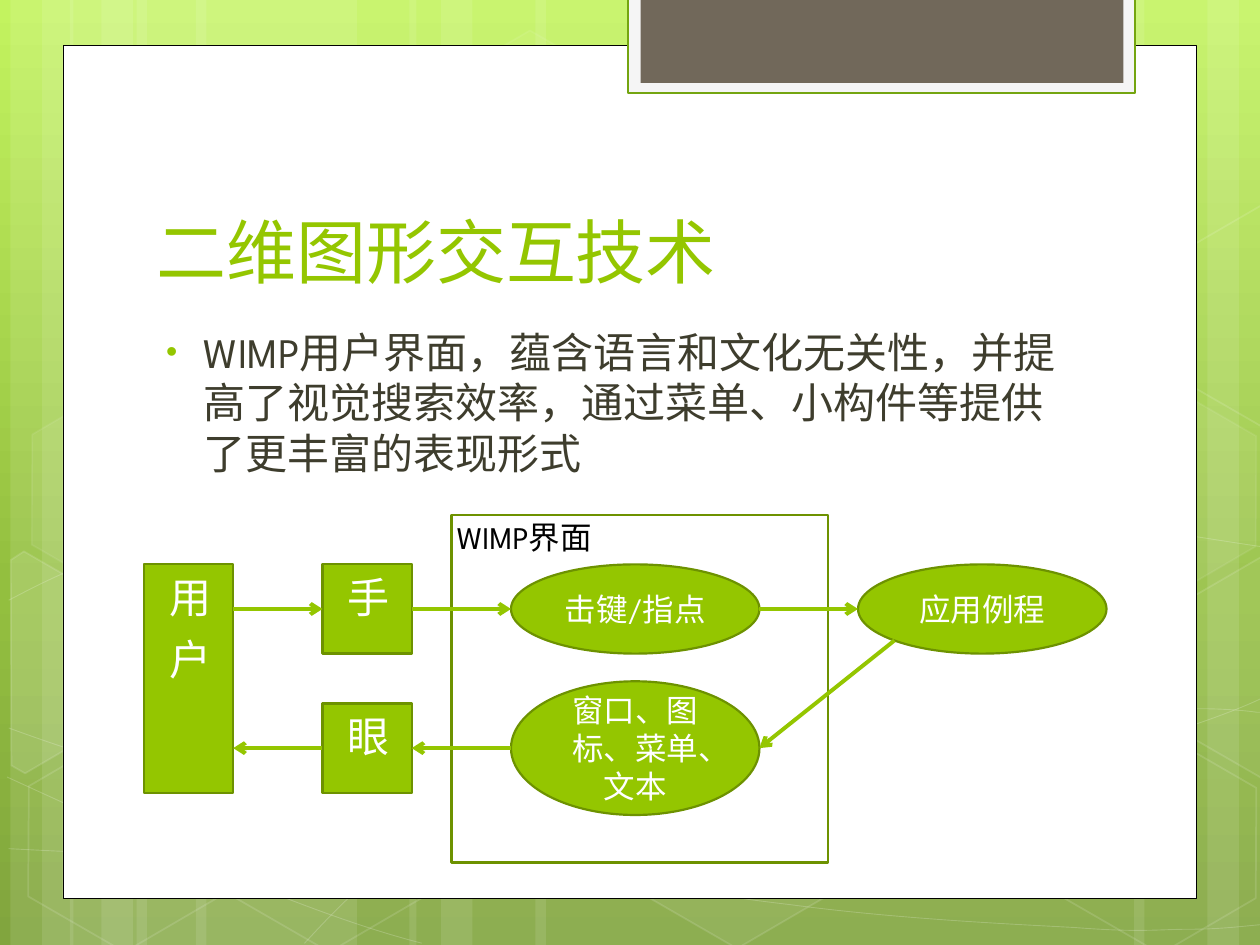
from collections import namedtuple
from dataclasses import dataclass
from math import cos, pi

from lxml.etree import SubElement
from pptx import Presentation
from pptx.dml.color import RGBColor
from pptx.enum.shapes import MSO_CONNECTOR, MSO_SHAPE
from pptx.enum.text import MSO_ANCHOR, PP_ALIGN
from pptx.oxml.ns import qn
from pptx.util import Pt

Box = namedtuple("Box", "left top width height")


@dataclass(frozen=True)
class Theme:
    """Colours, font and sizes of the slide."""
    font: str = "League Spartan"
    green: str = "94C600"
    edge: str = "6D9200"
    tab_edge: str = "74A510"
    tab_outer: str = "F5F5F5"
    tab_inner: str = "71685A"
    body: str = "3E3D2D"
    white: str = "FFFFFF"
    black: str = "000000"
    sky: tuple = ((0, "C3F35F"), (62, "93BF3F"), (100, "81A53E"))
    title_size: int = 40
    body_size: int = 24
    label_size: int = 18


THEME = Theme()
BANDS = [(78, 126), (6, 36), (24, 60), (112, 126), (40, 36), (58, 60), (528, 126),
         (690, 36), (648, 60), (306, 222), (234, 36), (252, 60)]
HEXAGONS = [(240, 26, 4, 8), (358, 424, 6, 12), (8, 426, 0, 12), (10, 225, 7, 8),
            (125, 426, 0, 12), (542, 326, 10, 12), (600, 427, 0, 12), (600, 226, 7, 8)]
LEFT_CUT = [(0, 8), (4, 0), (68, 0), (99, 55), (68, 109.5), (59, 109.5)]
RIGHT_CUT = [(0, 54), (31, 0), (37, 0), (97.5, 104), (94, 109.5), (32, 109.5)]
CUT_HEXAGONS = [(-23.8, 330.5, 10, LEFT_CUT), (660.2, 319.7, 4, RIGHT_CUT),
                (660.2, 118.8, 0, RIGHT_CUT)]
CURVES = [
    [(5, 485), (44, 487), (83, 489), (137, 488), (191, 487), (258, 486), (330, 479),
     (402, 472), (504, 458), (570, 444), (636, 431), (703, 409), (725, 397)],
    [(5, 343), (26, 332), (47, 321), (87, 310), (128, 300), (187, 284), (250, 279),
     (314, 274), (392, 273), (471, 279), (550, 284), (682, 307), (725, 313)],
    [(4, 444), (91, 484), (178, 523), (241, 539)],
    [(5, 416), (27, 424), (50, 432), (92, 444), (134, 454), (197, 472), (257, 485),
     (317, 497), (392, 510), (452, 517), (512, 525), (576, 528), (614, 530),
     (652, 533), (662, 531), (680, 531), (699, 531), (712, 529), (725, 528)],
    [(174, 539), (187, 525), (200, 511), (217, 498), (235, 485), (259, 470), (279, 460),
     (300, 450), (312, 446), (338, 439), (364, 431), (413, 421), (438, 416),
     (464, 411), (467, 411), (490, 410), (512, 408), (547, 405), (572, 405),
     (597, 404), (638, 405), (638, 405), (650, 405), (670, 405), (686, 405),
     (699, 405), (711, 406), (718, 407), (724, 407), (722, 407), (724, 407)]]


def colour(value):
    """Return an RGB colour."""
    return RGBColor.from_string(value)


def dress(shape, fill=None, line=None, weight=1.25, fill_alpha=100, line_alpha=100):
    """Set fill, outline and their opacity in percent."""
    shape.shadow.inherit = False
    for part, value, alpha, place in ((shape.fill, fill, fill_alpha, "p:spPr"),
                                      (shape.line.fill, line, line_alpha, "p:spPr/a:ln")):
        if not value or not alpha:
            part.background()
            continue
        part.solid()
        part.fore_color.rgb = colour(value)
        if alpha < 100:
            steps = [qn(step) for step in (place + "/a:solidFill/a:srgbClr").split("/")]
            SubElement(shape.element.find("/".join(steps)), qn("a:alpha"), val=str(alpha * 1000))
    if line:
        shape.line.width = Pt(weight)
    return shape


def add_block(page, kind, box, **look):
    """Add a preset shape in the given box."""
    return dress(page.shapes.add_shape(kind, *map(Pt, box)), **look)


def add_outline(page, left, top, points, close, **look):
    """Add a freeform through points measured from the given corner."""
    places = [(Pt(left + x), Pt(top + y)) for x, y in points]
    builder = page.shapes.build_freeform(*places[0])
    builder.add_line_segments(places[1:], close=close)
    return dress(builder.convert_to_shape(), **look)


def bend(shape):
    """Turn each three line segments of a freeform into one cubic curve."""
    lines = shape.element.findall(".//" + qn("a:lnTo"))
    for start in range(0, len(lines) - 2, 3):
        curve = SubElement(lines[start].getparent(), qn("a:cubicBezTo"))
        for line in lines[start:start + 3]:
            curve.append(line[0])
            line.getparent().remove(line)


def add_span(para, text, size, tint):
    """Add one run of text."""
    span = para.add_run()
    span.text = text
    span.font.name = THEME.font
    span.font.size = Pt(size)
    span.font.color.rgb = colour(tint)
    return span


def add_text(page, box, text, size, tint, anchor=MSO_ANCHOR.TOP, wrap=True):
    """Add a text box and return its paragraph."""
    frame = page.shapes.add_textbox(*map(Pt, box)).text_frame
    frame.word_wrap = wrap
    frame.vertical_anchor = anchor
    add_span(frame.paragraphs[0], text, size, tint)
    return frame.paragraphs[0]


def add_backdrop(page, box):
    """Draw the gradient, bands, curves and hexagons."""
    page.background.fill.gradient()
    page.background.fill.gradient_angle = 270
    stops = page.element.find(".//" + qn("a:gsLst"))
    stops.clear()
    for place, value in THEME.sky:
        stop = SubElement(stops, qn("a:gs"), pos=str(place * 1000))
        SubElement(stop, qn("a:srgbClr"), val=value)
    white = THEME.white
    for left, width in BANDS:
        add_block(page, MSO_SHAPE.RECTANGLE, Box(box.left + left, box.top, width, box.height),
                  fill=white, fill_alpha=10)
    for knots in CURVES:
        bend(add_outline(page, box.left, box.top, knots, False,
                         line=white, weight=0.5, line_alpha=20))
    for left, top, fill_alpha, line_alpha in HEXAGONS:
        hexagon = add_block(page, MSO_SHAPE.HEXAGON, Box(box.left + left, box.top + top, 126, 109.5),
                            fill=white, line=white, weight=1,
                            fill_alpha=fill_alpha, line_alpha=line_alpha)
        hexagon.adjustments[0] = 0.285
        hexagon.rotation = 30
    for left, top, fill_alpha, corners in CUT_HEXAGONS:
        hexagon = add_outline(page, box.left + left, box.top + top, corners, True, fill=white,
                              line=white, weight=1, fill_alpha=fill_alpha, line_alpha=12)
        hexagon.rotation = 30


def add_card(page, box):
    """Draw the white card with its tab."""
    add_block(page, MSO_SHAPE.RECTANGLE, box, fill=THEME.white, line=THEME.black, weight=0.5)
    tab = Box(box.left + 323, box.top - 27.4, 289.6, 54.7)
    add_block(page, MSO_SHAPE.RECTANGLE, tab, fill=THEME.tab_outer, line=THEME.tab_edge)
    add_block(page, MSO_SHAPE.RECTANGLE, Box(tab.left + 7, tab.top, 276, 48.8), fill=THEME.tab_inner)


def add_body(page, box):
    """Write the bulleted paragraph."""
    para = add_text(page, box, "WIMP用户界面，蕴含语言和文化无关性，并提高了视觉搜索效率，通过菜单、小构件等提供了更丰富的表现形式",
                    THEME.body_size, THEME.body)
    marks = para._p.get_or_add_pPr()
    marks.set("marL", str(Pt(27.4)))
    marks.set("indent", str(-Pt(21.6)))
    SubElement(SubElement(marks, qn("a:buClr")), qn("a:srgbClr"), val=THEME.green)
    SubElement(marks, qn("a:buSzPct"), val="76000")
    SubElement(marks, qn("a:buFont"), typeface="Arial")
    SubElement(marks, qn("a:buChar"), char="•")


def add_node(page, kind, box, text, size, vertical=False):
    """Add a labelled green node."""
    node = add_block(page, kind, box, fill=THEME.green, line=THEME.edge)
    node.text_frame.vertical_anchor = MSO_ANCHOR.MIDDLE
    para = node.text_frame.paragraphs[0]
    para.alignment = PP_ALIGN.CENTER
    span = add_span(para, text, size, THEME.white)
    if vertical:
        node.element.find(".//" + qn("a:bodyPr")).set("vert", "eaVert")
        if " " in text:
            span.font._element.set("spc", "300")
    return node


def add_arrow(page, start, end, source=None, target=None):
    """Draw an arrow, joined to the (node, side) pairs given."""
    arrow = page.shapes.add_connector(MSO_CONNECTOR.STRAIGHT, *map(Pt, start + end))
    if source:
        arrow.begin_connect(*source)
    if target:
        arrow.end_connect(*target)
    arrow.line.color.rgb = colour(THEME.green)
    arrow.line.width = Pt(2.25)
    SubElement(arrow.line._get_or_add_ln(), qn("a:tailEnd"), type="arrow")
    SubElement(arrow.element.spPr, qn("a:effectLst"))


def add_diagram(page, box):
    """Draw the interaction loop from user to program and back."""
    side, oval = 51, 142
    user, hand, screen, program = (box.left + step for step in (0, 102, 209.7, 408))
    upper, lower = box.top + 56, box.top + 135.5
    top = upper - side / 2
    square, ellipse = MSO_SHAPE.RECTANGLE, MSO_SHAPE.OVAL
    large, small = THEME.body_size, THEME.label_size
    add_node(page, square, Box(user, top, side, lower - upper + side), "用 户", large, True)
    hand_node = add_node(page, square, Box(hand, top, side, side), "手", large, True)
    eye_node = add_node(page, square, Box(hand, lower - side / 2, side, side), "眼", large, True)
    add_node(page, ellipse, Box(screen, top, oval, side), "击键/指点", small)
    add_node(page, ellipse, Box(program, top, oval, side), "应用例程", small)
    add_node(page, ellipse, Box(screen, lower - 38.2, oval, 76.4), "窗口、图标、菜单、文本", small)
    add_block(page, square, Box(box.left + 175.7, box.top + 2.2, 215.3, 198.7), line=THEME.edge)
    add_text(page, Box(box.left + 171.7, box.top + 0.3, 100, 29), "WIMP界面", small, THEME.black,
             wrap=False)
    reach = cos(pi / 4) / 2
    corner = (program + oval * (0.5 - reach), upper + side * reach)
    add_arrow(page, (user + side, upper), (hand, upper), target=(hand_node, 1))
    add_arrow(page, (hand + side, upper), (screen, upper), source=(hand_node, 3))
    add_arrow(page, (screen + oval, upper), (program, upper))
    add_arrow(page, corner, (screen + oval, lower))
    add_arrow(page, (screen, lower), (hand + side, lower), target=(eye_node, 3))
    add_arrow(page, (hand, lower), (user + side, lower), source=(eye_node, 1))


def main():
    """Build and save the slide."""
    deck = Presentation()
    deck.slide_width, deck.slide_height = Pt(720), Pt(540)
    page = deck.slides.add_slide(deck.slide_layouts[6])
    add_backdrop(page, Box(0, 0, 720, 540))
    add_card(page, Box(36, 26, 648, 487.2))
    add_text(page, Box(82.3, 80.6, 553, 90), "二维图形交互技术", THEME.title_size, THEME.green, MSO_ANCHOR.BOTTOM)
    add_body(page, Box(82, 183, 533.5, 276.5))
    add_diagram(page, Box(82.3, 292, 550, 201))
    deck.save("out.pptx")


if __name__ == "__main__":
    main()
